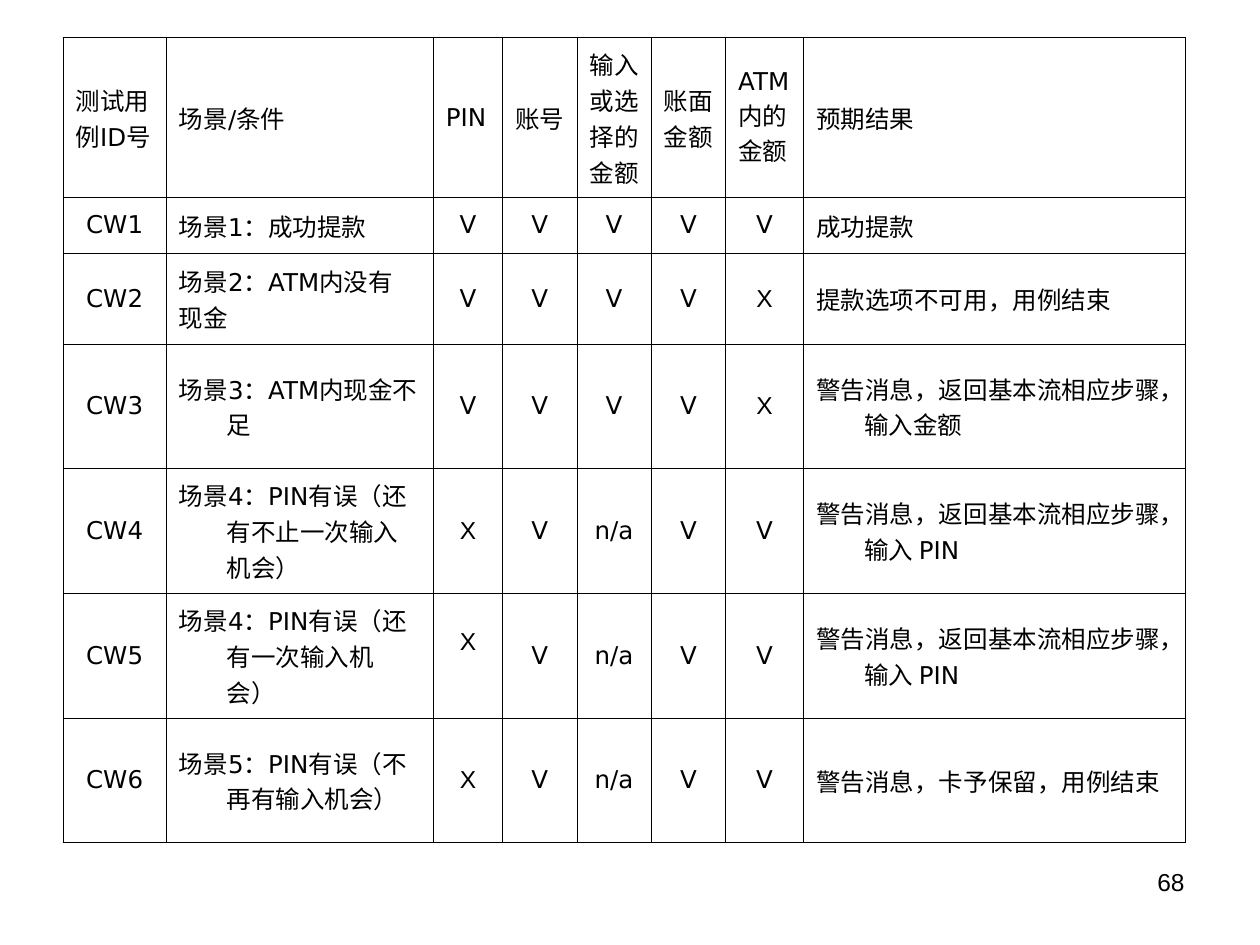
from lxml import etree
from pptx import Presentation
from pptx.dml.color import RGBColor
from pptx.enum.text import MSO_ANCHOR, PP_ALIGN
from pptx.oxml.ns import qn
from pptx.util import Inches, Pt

CENTER, LEFT, RIGHT = PP_ALIGN.CENTER, PP_ALIGN.LEFT, PP_ALIGN.RIGHT
MIDDLE = MSO_ANCHOR.MIDDLE
COLORS = {"text": "000000", "border": "000000"}
COL_WIDTHS = [0.82, 2.12, 0.55, 0.59, 0.59, 0.59, 0.62, 3.03]
ROW_HEIGHTS = [1.27, 0.44, 0.72] + [0.99] * 4
TEXT_COLS = (1, 7)
ROWS = [
    ["测试用\n例ID号", "场景/条件", "PIN", "账号", "输入\n或选\n择的\n金额",
     "账面\n金额", "ATM\n内的\n金额", "预期结果"],
    ["CW1", "场景1：成功提款", "V", "V", "V", "V", "V", "成功提款"],
    ["CW2", "场景2：ATM内没有\n现金", "V", "V", "V", "V", "X", "提款选项不可用，用例结束"],
    ["CW3", "场景3：ATM内现金不足", "V", "V", "V", "V", "X",
     "警告消息，返回基本流相应步骤，输入金额"],
    ["CW4", "场景4：PIN有误（还有不止一次输入机会）", "X", "V", "n/a", "V", "V",
     "警告消息，返回基本流相应步骤，输入 PIN"],
    ["CW5", "场景4：PIN有误（还有一次输入机会）", "X", "V", "n/a", "V", "V",
     "警告消息，返回基本流相应步骤，输入 PIN"],
    ["CW6", "场景5：PIN有误（不再有输入机会）", "X", "V", "n/a", "V", "V",
     "警告消息，卡予保留，用例结束"],
]


def format_paragraph(p, font, align):
    p.alignment = align
    for r in p.runs:
        r.font.name = font
        r.font.size = Pt(14)
        r.font.color.rgb = RGBColor.from_string(COLORS["text"])


def add_borders(cell):
    tcPr = cell._tc.get_or_add_tcPr()
    for i, side in enumerate(("lnL", "lnR", "lnT", "lnB")):
        ln = etree.Element(qn(f"a:{side}"), w=str(Pt(0.45)))
        fill = etree.SubElement(ln, qn("a:solidFill"))
        etree.SubElement(fill, qn("a:srgbClr"), val=COLORS["border"])
        tcPr.insert(i, ln)


prs = Presentation()
prs.slide_width, prs.slide_height = Inches(10), Inches(7.5)
s = prs.slides.add_slide(prs.slide_layouts[6])

page_number = s.shapes.add_textbox(Inches(7.17), Inches(6.83), Inches(2.33), Inches(0.52))
tf = page_number.text_frame
tf.word_wrap = True
tf.text = "68"
format_paragraph(tf.paragraphs[0], "Arial", RIGHT)

table = s.shapes.add_table(len(ROWS), len(COL_WIDTHS), Inches(0.5), Inches(0.3),
                           Inches(8.91), Inches(6.4)).table
table.first_row = table.horz_banding = False
for col, width in zip(table.columns, COL_WIDTHS):
    col.width = Inches(width)
for row, height in zip(table.rows, ROW_HEIGHTS):
    row.height = Inches(height)

for i, values in enumerate(ROWS):
    for j, value in enumerate(values):
        cell = table.cell(i, j)
        cell.fill.background()
        add_borders(cell)
        cell.vertical_anchor = MIDDLE
        cell.margin_left = cell.margin_right = Inches(0.1)
        cell.margin_top = cell.margin_bottom = Inches(0.05)
        cell.text_frame.text = value
        for p in cell.text_frame.paragraphs:
            pPr = p._p.get_or_add_pPr()
            pPr.set("marL", str(Inches(0.38)))
            pPr.set("indent", str(-Inches(0.38)))
            format_paragraph(p, "Arial" if value == "X" else "DejaVu Sans",
                             LEFT if i == 0 or j in TEXT_COLS else CENTER)

table.cell(5, 2).margin_bottom = Inches(0.26)

prs.save("out.pptx")
